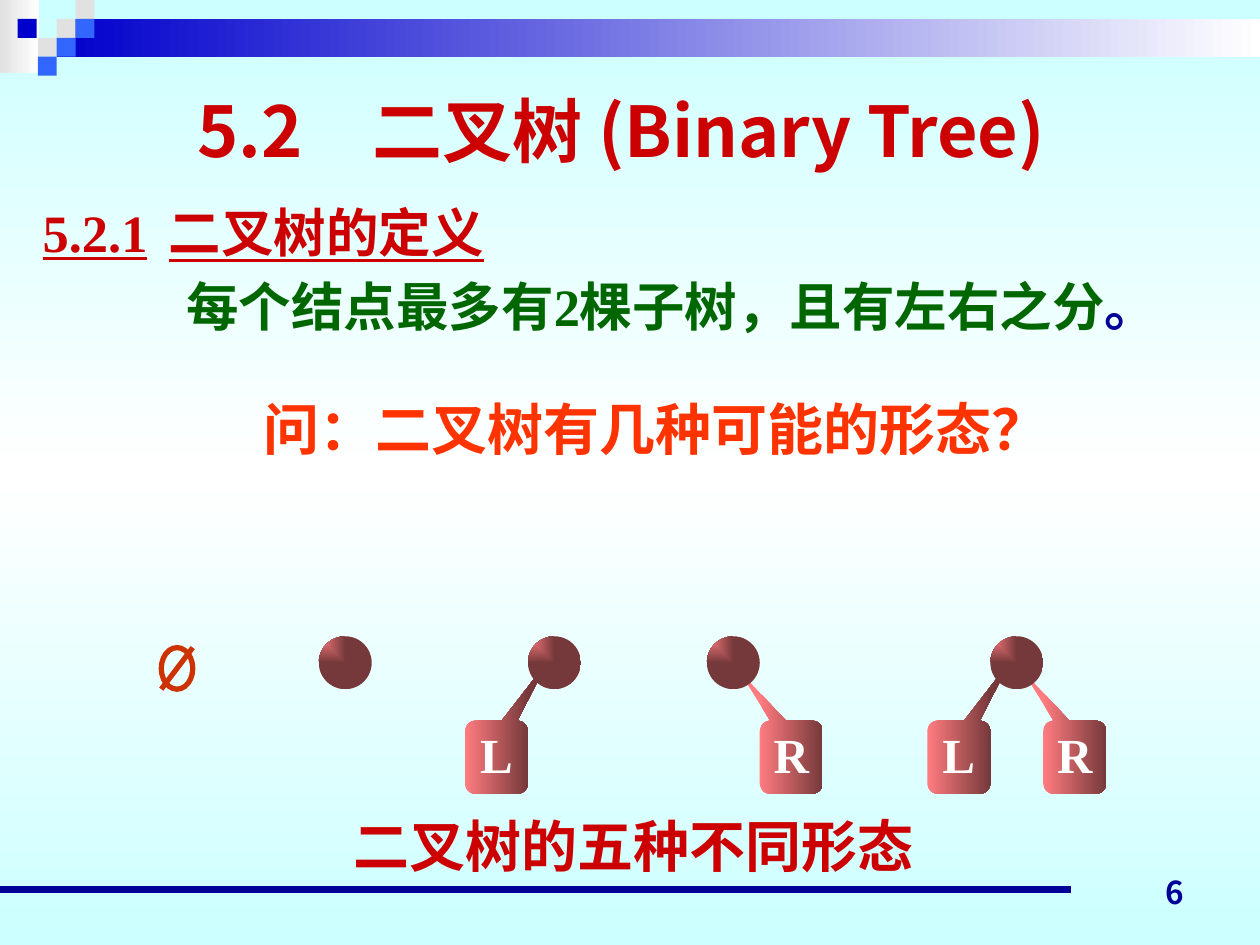
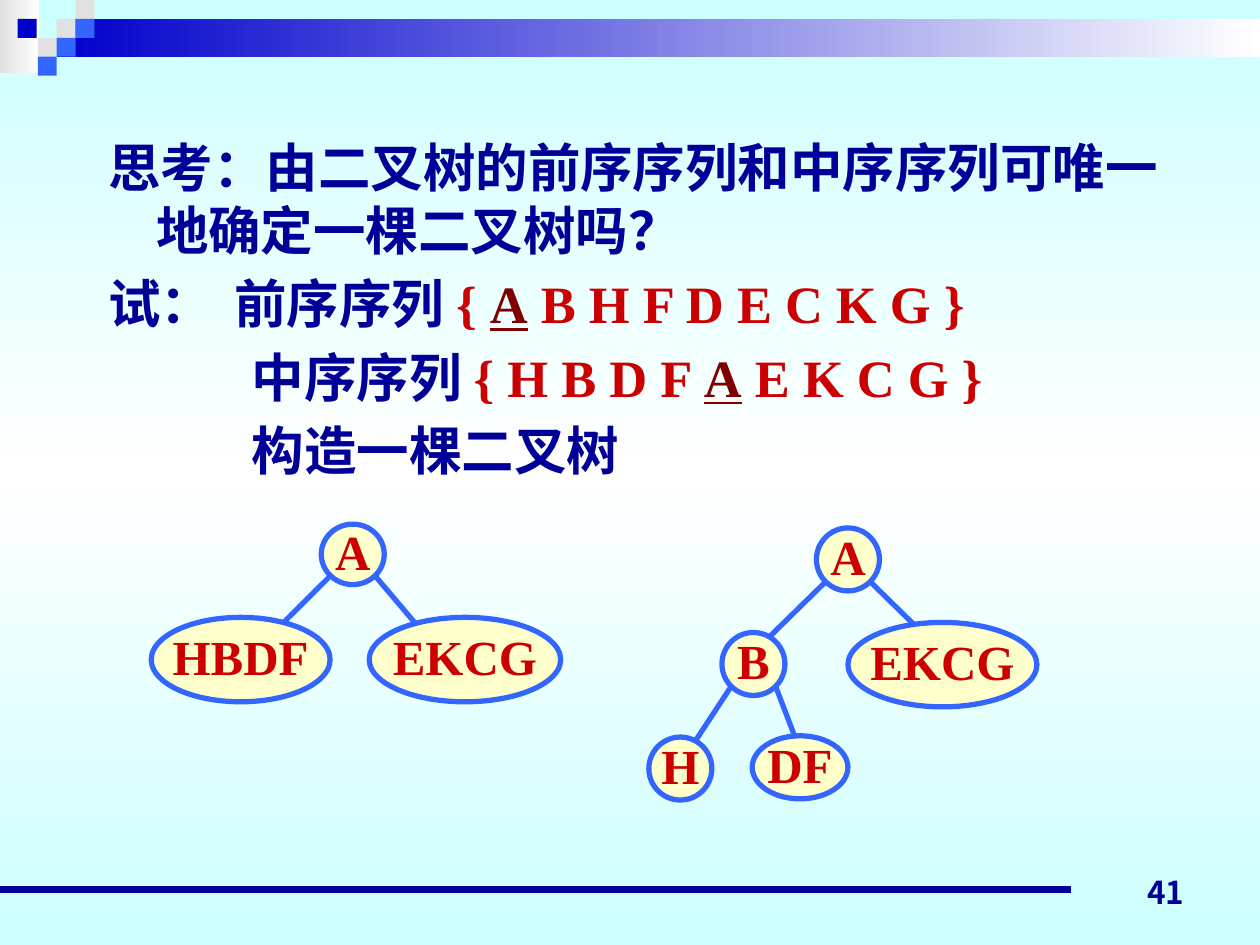
from lxml import etree
from pptx import Presentation
from pptx.dml.color import RGBColor
from pptx.enum.shapes import MSO_CONNECTOR, MSO_SHAPE
from pptx.enum.text import MSO_ANCHOR, MSO_AUTO_SIZE, PP_ALIGN
from pptx.oxml.ns import qn
from pptx.util import Inches, Pt

STRAIGHT = MSO_CONNECTOR.STRAIGHT
RECTANGLE, OVAL = MSO_SHAPE.RECTANGLE, MSO_SHAPE.OVAL
CALLOUT = MSO_SHAPE.ROUNDED_RECTANGULAR_CALLOUT
TOP, MIDDLE, BOTTOM = MSO_ANCHOR.TOP, MSO_ANCHOR.MIDDLE, MSO_ANCHOR.BOTTOM
LEFT, CENTER, RIGHT = PP_ALIGN.LEFT, PP_ALIGN.CENTER, PP_ALIGN.RIGHT
NO_AUTOFIT = MSO_AUTO_SIZE.NONE

COLORS = {
    "sky": "CCFFFF", "white": "FFFFFF", "gray": "E1E1E1", "blue": "0000CC",
    "azure": "3366FF", "navy": "000099", "red": "CC0000", "maroon": "800000",
    "green": "006600", "orange": "FF3300", "rust": "CC3300",
    "rose": "FF7C80", "wine": "76393B", "cream": "FFFFCC",
}
SERIF, SANS, CJK = "Times New Roman", "Arial", "Noto Sans CJK JP"
LINE_FACTOR = 1.2
TILE = 0.15
TILES = [(0.45, 0.15, "gray"), (0.6, 0, "gray"), (0.6, 0.15, "azure"),
         (0.3, 0.3, "gray"), (0.14, 0.15, "blue"), (0.45, 0.3, "azure"),
         (0.3, 0.45, "azure")]


def rgb(name):
    return RGBColor.from_string(COLORS[name])


def fill_gradient(fill, start, end, angle=0):
    fill.gradient()
    fill.gradient_angle = angle
    for stop, name, position in zip(fill.gradient_stops, (start, end), (0, 1)):
        stop.color.rgb = rgb(name)
        stop.position = position


def set_background(master):
    fill = master.background.fill
    fill_gradient(fill, "sky", "sky", 90)
    stops = master.element.find(".//" + qn("a:gsLst"))
    middle = etree.Element(qn("a:gs"), pos="50000")
    etree.SubElement(middle, qn("a:srgbClr"), val=COLORS["white"])
    stops.insert(1, middle)


def add_shape(page, kind, box, fill=None, line=None):
    shape = page.shapes.add_shape(kind, *map(Inches, box))
    shape.shadow.inherit = False
    if isinstance(fill, tuple):
        fill_gradient(shape.fill, *fill)
    elif fill:
        shape.fill.solid()
        shape.fill.fore_color.rgb = rgb(fill)
    else:
        shape.fill.background()
    if line:
        shape.line.color.rgb = rgb(line)
        shape.line.width = Pt(3)
    else:
        shape.line.fill.background()
    return shape


def add_line(page, start, end, color, width=3):
    line = page.shapes.add_connector(STRAIGHT, *map(Inches, (*start, *end)))
    line.line.color.rgb = rgb(color)
    line.line.width = Pt(width)
    etree.SubElement(line.element.spPr, qn("a:effectLst"))


def add_span(para, text, color, size, font, underline=False):
    span = para.add_run()
    span.text = text
    formats = {"name": font, "size": Pt(size), "bold": True, "underline": underline}
    for name, value in formats.items():
        setattr(span.font, name, value)
    span.font.color.rgb = rgb(color)
    etree.SubElement(span.font._element, qn("a:ea"), typeface=CJK)


def write_para(para, spans, size, font=SERIF, align=LEFT, indent=(0, 0), tab=None):
    properties = para._p.get_or_add_pPr()
    for name, value in zip(("marL", "indent"), indent):
        properties.set(name, str(Inches(value)))
    if tab:
        tabs = etree.SubElement(properties, qn("a:tabLst"))
        etree.SubElement(tabs, qn("a:tab"), pos=str(Inches(tab)), algn="l")
    para.alignment = align
    para.line_spacing = Pt(size * LINE_FACTOR)
    for span in spans:
        add_span(para, *span[:2], size, font, *span[2:])


def format_frame(frame, anchor=TOP, wrap=True):
    formats = {"word_wrap": wrap, "auto_size": NO_AUTOFIT, "vertical_anchor": anchor}
    for name, value in formats.items():
        setattr(frame, name, value)


def add_text(page, box, paras, size, font=SERIF, align=LEFT, anchor=TOP):
    frame = page.shapes.add_textbox(*map(Inches, box)).text_frame
    format_frame(frame, anchor)
    for number, (spans, layout) in enumerate(paras):
        para = frame.add_paragraph() if number else frame.paragraphs[0]
        write_para(para, spans, size, font, align, **layout)
        if number:
            para.space_before = Pt(6)


def add_label(shape, text, color):
    frame = shape.text_frame
    format_frame(frame, MIDDLE, False)
    for side in ("left", "right", "top"):
        setattr(frame, "margin_" + side, 0)
    frame.margin_bottom = Inches(0.06)
    write_para(frame.paragraphs[0], [(text, color)], 28, align=CENTER)


def add_frame(page, number):
    add_shape(page, RECTANGLE, (0, 0, 0.31, 0.58), ("gray", "white"))
    add_shape(page, RECTANGLE, (0.45, 0.15, 9.55, 0.3), ("blue", "white"))
    for left, top, color in TILES:
        add_shape(page, RECTANGLE, (left, top, TILE, TILE), color)
    add_line(page, (0, 7.06), (8.5, 7.06), "navy", 4.5)
    add_text(page, (7.17, 6.78, 2.33, 0.5), [([(str(number), "navy")], {})],
             18, CJK, RIGHT, BOTTOM)


def add_title(page, text, box):
    title = page.shapes.title
    for name, value in zip(("left", "top", "width", "height"), box):
        setattr(title, name, Inches(value))
    format_frame(title.text_frame, MIDDLE)
    write_para(title.text_frame.paragraphs[0], [(text, "red")], 40, CJK, CENTER)


def add_empty_sign(page, left, top, width, height):
    add_shape(page, OVAL, (left, top, width, height), line="rust")
    add_line(page, (left + width, top), (left, top + height), "rust")


def add_root_with_subtrees(page, left, top, letters):
    root_size, width, height = 0.42, 0.5, 0.58
    subtrees = {"L": (-width, 0.819, -1.318), "R": (root_size, -0.83, -1.188)}
    for letter in letters:
        offset, pointer_x, pointer_y = subtrees[letter]
        callout = add_shape(page, CALLOUT, (left + offset, top + 0.67, width, height),
                            ("rose", "wine"))
        for index, value in enumerate((pointer_x, pointer_y, 0.167)):
            callout.adjustments[index] = value
        add_label(callout, letter, "white")
    root = add_shape(page, OVAL, (left, top, root_size, root_size), ("rose", "wine"))
    linear = root.element.spPr.find(".//" + qn("a:lin"))
    gradient = linear.getparent()
    gradient.remove(linear)
    focus = etree.SubElement(gradient, qn("a:path"), {"path": "rect"})
    etree.SubElement(focus, qn("a:fillToRect"), r="100000", b="100000")


def add_tree(page, left, top, nodes, edges):
    for parent, side, (end_x, end_y) in edges:
        x, y, width, height = nodes[parent]
        start = (left + x + width * (0.5 + side * 0.35), top + y + height * 0.85)
        add_line(page, start, (left + end_x, top + end_y), "azure")
    for text, (x, y, width, height) in nodes.items():
        node = add_shape(page, OVAL, (left + x, top + y, width, height), "cream", "azure")
        add_label(node, text, "red")


def build_definition(deck):
    page = deck.slides.add_slide(deck.slide_layouts[5])
    add_frame(page, 6)
    add_title(page, "5.2　二叉树 (Binary Tree)", (0.43, 0.48, 9, 1.1))
    add_text(page, (0.24, 1.54, 9.53, 2.8), [
        ([("5.2.1\t二叉树的定义", "red", True)], {"tab": 1.35}),
        ([("每个结点最多有2棵子树，且有左右之分", "green"), ("。", "navy")],
         {"indent": (1.14, 0)}),
    ], 30)
    add_text(page, (1.99, 3.08, 6.78, 0.63),
             [([("问：二叉树有几种可能的形态？", "orange")], {})], 32, SANS)
    add_empty_sign(page, 1.28, 5.14, 0.25, 0.33)
    for left, letters in ((2.53, ""), (4.19, "L"), (5.61, "R"), (7.86, "LR")):
        add_root_with_subtrees(page, left, 5.05, letters)
    add_text(page, (1.53, 6.39, 7, 0.63),
             [([("二叉树的五种不同形态", "red")], {})], 32, align=CENTER)


def build_reconstruction(deck):
    page = deck.slides.add_slide(deck.slide_layouts[6])
    add_frame(page, 41)
    add_text(page, (0.76, 1.02, 8.61, 2.88), [
        ([("思考：由二叉树的前序序列和中序序列可唯一地确定一棵二叉树吗？", "navy")],
         {"indent": (0.38, -0.38)}),
        ([("试：\t前序序列 ", "navy"), ("{ ", "red"), ("A", "maroon", True),
          (" B H F D E C K G }", "red")], {"tab": 1.22}),
        ([("中序序列 ", "navy"), ("{ H B D F ", "red"), ("A", "maroon", True),
          (" E K C G }", "red")], {"indent": (1.14, 0)}),
        ([("构造一棵二叉树", "navy")], {"indent": (1.14, 0)}),
    ], 30)
    add_tree(page, 1.2, 4.16,
             {"A": (1.35, 0, 0.5, 0.48), "HBDF": (0, 0.74, 1.42, 0.67),
              "EKCG": (1.73, 0.74, 1.52, 0.67)},
             [("A", -1, (0.93, 0.9)), ("A", 1, (2.2, 0.91))])
    add_tree(page, 5.15, 4.19,
             {"A": (1.33, 0, 0.5, 0.5), "EKCG": (1.58, 0.75, 1.5, 0.67),
              "B": (0.58, 0.83, 0.5, 0.5), "H": (0, 1.66, 0.5, 0.5),
              "DF": (0.82, 1.65, 0.76, 0.5)},
             [("A", -1, (0.91, 0.91)), ("A", 1, (2.25, 0.91)),
              ("B", -1, (0.33, 1.75)), ("B", 1, (1.16, 1.66))])


def main():
    deck = Presentation()
    deck.slide_width, deck.slide_height = Inches(10), Inches(7.5)
    set_background(deck.slide_master)
    build_definition(deck)
    build_reconstruction(deck)
    deck.save("out.pptx")


if __name__ == "__main__":
    main()
